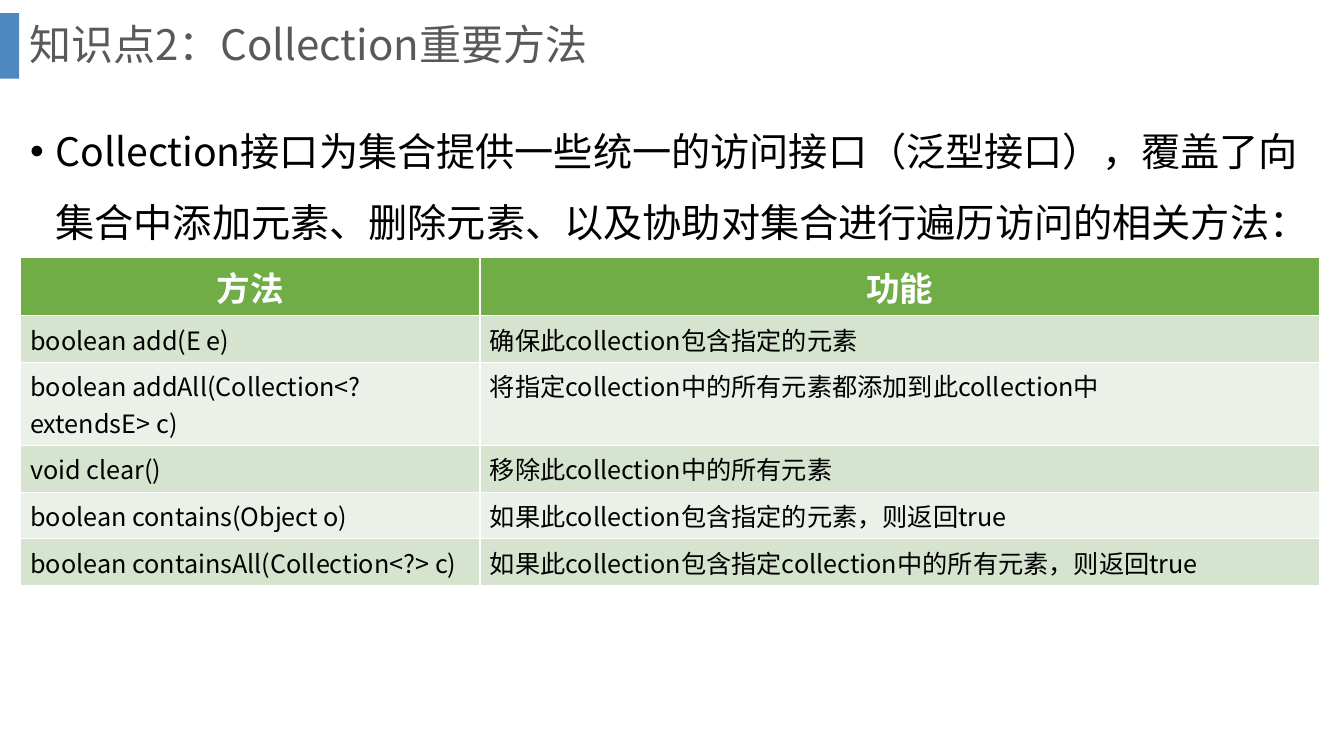
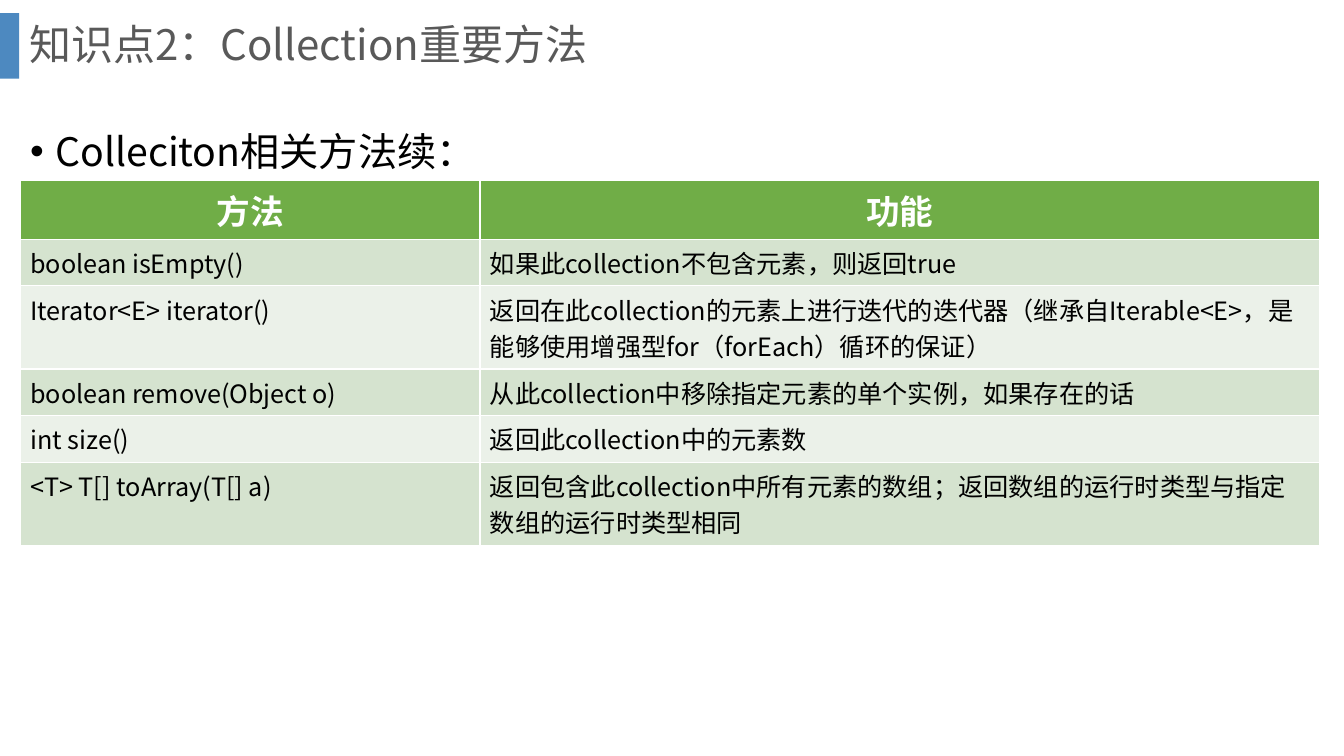
"""Build two slides on the important methods of the Collection interface."""
import lxml.etree
import pptx
import pptx.dml.color
import pptx.enum.shapes
import pptx.enum.text
import pptx.oxml.ns
import pptx.util

Inches = pptx.util.Inches
Pt = pptx.util.Pt
RGBColor = pptx.dml.color.RGBColor
PP_ALIGN = pptx.enum.text.PP_ALIGN
MSO_ANCHOR = pptx.enum.text.MSO_ANCHOR
qn = pptx.oxml.ns.qn

FONT = "Noto Sans CJK SC"
BLUE = RGBColor(0x2E, 0x75, 0xB6)
GRAY = RGBColor(0x59, 0x59, 0x59)
BLACK = RGBColor(0x00, 0x00, 0x00)
WHITE = RGBColor(0xFF, 0xFF, 0xFF)
GREEN = RGBColor(0x70, 0xAD, 0x47)
BANDS = (RGBColor(0xD5, 0xE3, 0xCF), RGBColor(0xEB, 0xF1, 0xE9))

TITLE = "知识点2：Collection重要方法"
HEADER = ("方法", "功能")
SLIDES = [
    ("Collection接口为集合提供一些统一的访问接口（泛型接口），覆盖了向集合中添加元素、"
     "删除元素、以及协助对集合进行遍历访问的相关方法：", 2.55, [
         ("boolean add(E e)", "确保此collection包含指定的元素"),
         ("boolean addAll(Collection<?extendsE> c)",
          "将指定collection中的所有元素都添加到此collection中"),
         ("void clear()", "移除此collection中的所有元素"),
         ("boolean contains(Object o)", "如果此collection包含指定的元素，则返回true"),
         ("boolean containsAll(Collection<?> c)",
          "如果此collection包含指定collection中的所有元素，则返回true"),
     ]),
    ("Colleciton相关方法续：", 1.79, [
        ("boolean isEmpty()", "如果此collection不包含元素，则返回true"),
        ("Iterator<E> iterator()",
         "返回在此collection的元素上进行迭代的迭代器（继承自Iterable<E>，"
         "是能够使用增强型for（forEach）循环的保证）"),
        ("boolean remove(Object o)", "从此collection中移除指定元素的单个实例，如果存在的话"),
        ("int size()", "返回此collection中的元素数"),
        ("<T> T[] toArray(T[] a)",
         "返回包含此collection中所有元素的数组；返回数组的运行时类型与指定数组的运行时类型相同"),
    ]),
]


class Deck:
    """Hold the shared style and the current slide."""

    def __init__(self):
        self.prs = pptx.Presentation()
        self.prs.slide_width = Inches(13.33)
        self.prs.slide_height = Inches(7.5)
        self.s = None

    def add_slide(self):
        self.s = self.prs.slides.add_slide(self.prs.slide_layouts[1])
        self.bar()

    def bar(self):
        sp = self.s.shapes.add_shape(
            pptx.enum.shapes.MSO_SHAPE.RECTANGLE,
            Inches(0), Inches(0.13), Inches(0.19), Inches(0.65))
        sp.shadow.inherit = False
        sp.fill.solid()
        sp.fill.fore_color.rgb = BLUE
        sp.line.fill.background()
        color = sp._element.spPr.find(qn("a:solidFill"))[0]
        lxml.etree.SubElement(color, qn("a:alpha")).set("val", "85000")

    def put_text(self, tf, text, size, color, bold=False, align=PP_ALIGN.LEFT):
        tf.text = text
        p = tf.paragraphs[0]
        p.alignment = align
        p.font.name = FONT
        p.font.size = Pt(size)
        p.font.bold = bold
        p.font.color.rgb = color
        props = p._p.pPr.find(qn("a:defRPr"))
        lxml.etree.SubElement(props, qn("a:ea")).set("typeface", FONT)
        return p

    def place(self, sp, left, top, width, height, anchor):
        sp.left, sp.top = Inches(left), Inches(top)
        sp.width, sp.height = Inches(width), Inches(height)
        tf = sp.text_frame
        tf.word_wrap = True
        tf.auto_size = pptx.enum.text.MSO_AUTO_SIZE.NONE
        tf.vertical_anchor = anchor
        return tf

    def title(self, text):
        tf = self.place(self.s.shapes.title, 0.19, 0, 12.66, 0.93, MSO_ANCHOR.MIDDLE)
        p = self.put_text(tf, text, 30, GRAY)
        p.line_spacing = 0.9

    def body(self, text):
        tf = self.place(self.s.placeholders[1], 0.2, 0.98, 12.9, 5.96, MSO_ANCHOR.TOP)
        p = self.put_text(tf, text, 28, BLACK)
        p.line_spacing = 1.5
        p.space_before = Pt(10)
        p._p.pPr.set("marL", str(Inches(0.25)))
        p._p.pPr.set("indent", str(-Inches(0.25)))

    def cell(self, cell, text, fill, **style):
        cell.fill.solid()
        cell.fill.fore_color.rgb = fill
        self.put_text(cell.text_frame, text, **style)

    def table(self, top, rows):
        count = len(rows) + 1
        table = self.s.shapes.add_table(
            count, 2, Inches(0.2), Inches(top), Inches(12.9), Inches(0.41 * count)).table
        for column, width in zip(table.columns, (4.56, 8.33)):
            column.width = Inches(width)
        for c, text in enumerate(HEADER):
            head = table.cell(0, c)
            head.vertical_anchor = MSO_ANCHOR.MIDDLE
            self.cell(head, text, GREEN, size=24, color=WHITE, bold=True,
                      align=PP_ALIGN.CENTER)
        for r, row in enumerate(rows):
            for c, text in enumerate(row):
                self.cell(table.cell(r + 1, c), text, BANDS[r % 2], size=18, color=BLACK)


def main():
    deck = Deck()
    for intro, top, rows in SLIDES:
        deck.add_slide()
        deck.title(TITLE)
        deck.body(intro)
        deck.table(top, rows)
    deck.prs.save("out.pptx")


if __name__ == "__main__":
    main()
